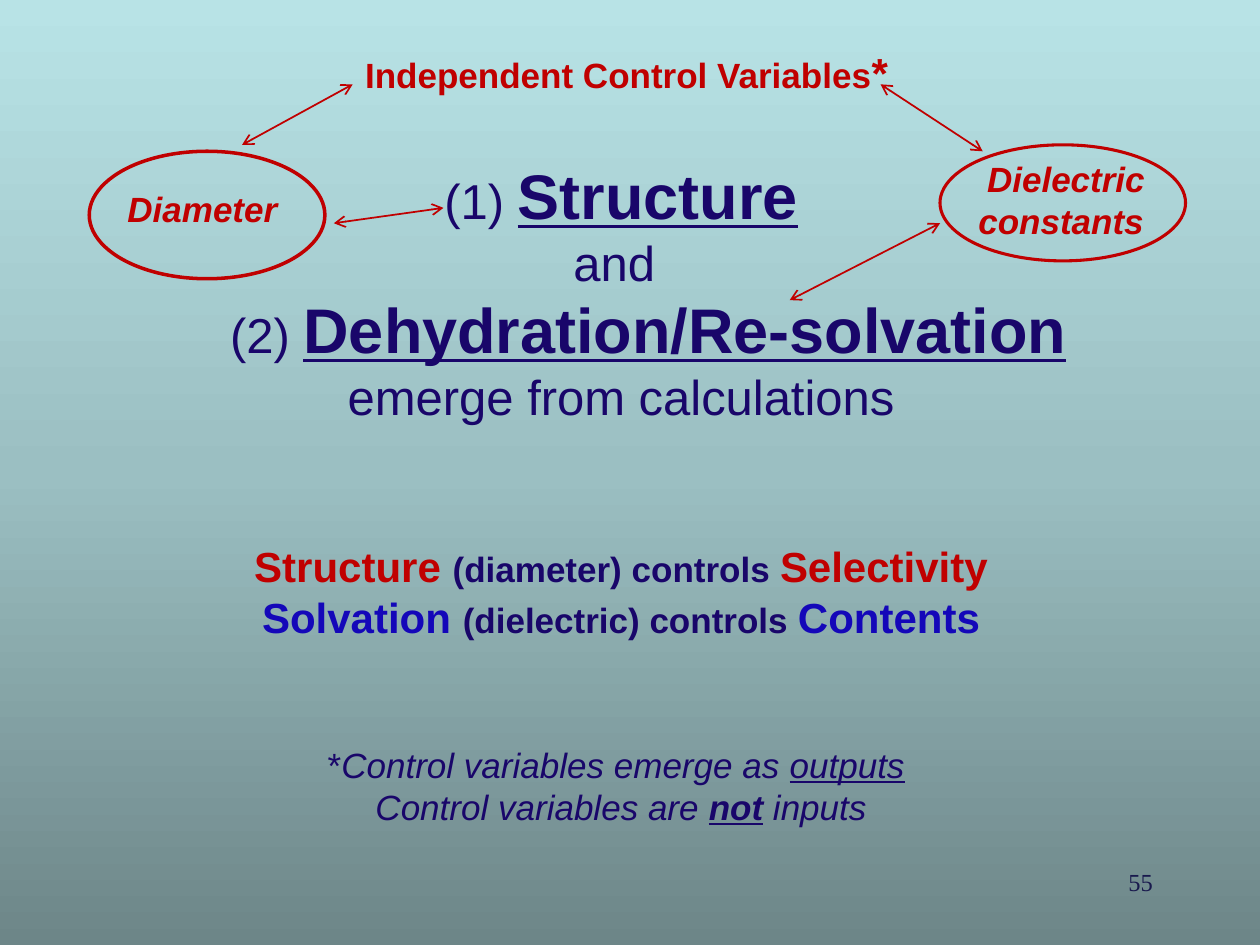
from copy import deepcopy
from dataclasses import dataclass

from lxml.etree import SubElement
from pptx import Presentation
from pptx.dml.color import RGBColor as RGB
from pptx.enum.shapes import MSO_CONNECTOR as CONNECTOR, MSO_SHAPE as SHAPE
from pptx.enum.text import MSO_ANCHOR as ANCHOR, PP_ALIGN as ALIGN
from pptx.oxml.ns import qn
from pptx.util import Cm, Pt


@dataclass(frozen=True)
class Theme:
    navy: str = "19066A"
    red: str = "C00000"
    blue: str = "1407B9"
    number: str = "19194D"
    background: tuple = ("6D8688", "9BBFC2", "B8E3E6")
    sans: str = "Arial"
    serif: str = "Times New Roman"
    hero: int = 36
    body: int = 28
    strong: int = 24
    label: int = 20
    small: int = 14


T = Theme()


def add_text(box, paragraphs, align, anchor=ANCHOR.TOP, font=T.sans):
    """Each paragraph is (space before, left margin in cm, runs);
    each run is (text, size, colour, style letters from "biu")."""
    tf = s.shapes.add_textbox(*map(Cm, box)).text_frame
    tf.word_wrap = True
    tf.vertical_anchor = anchor
    for i, (before, margin, runs) in enumerate(paragraphs):
        p = tf.add_paragraph() if i else tf.paragraphs[0]
        p.alignment = align
        if before:
            p.space_before = Pt(before)
        if margin:
            p._p.get_or_add_pPr().set("marL", str(Cm(margin)))
        for text, size, color, style in runs:
            r = p.add_run()
            r.text = text
            r.font.name = font
            r.font.size = Pt(size)
            r.font.color.rgb = RGB.from_string(color)
            r.font.bold = "b" in style
            r.font.italic = "i" in style
            r.font.underline = "u" in style


prs = Presentation()
prs.slide_width, prs.slide_height = Cm(25.4), Cm(19.05)
s = prs.slides.add_slide(prs.slide_layouts[6])

# Background: three stops, dark at the bottom
fill = s.background.fill
fill.gradient()
fill.gradient_angle = 90
stops = s._element.xpath(".//a:gsLst")[0]
stops.append(deepcopy(stops[-1]))
for stop, position, color in zip(fill.gradient_stops, (0, 0.5, 1), T.background):
    stop.position = position
    stop.color.rgb = RGB.from_string(color)

# Main statement
add_text((1.09, 2.18, 22.86, 15.47), [
    (0, 0, [("(1) ", T.body, T.navy, ""), ("Structure", T.hero, T.navy, "bu")]),
    (0, 0, [("and ", T.body, T.navy, "")]),
    (0, 1.1, [("(2) ", T.body, T.navy, ""),
              ("Dehydration/Re-solvation", T.hero, T.navy, "bu")]),
    (0, 0, [("emerge from calculations", T.body, T.navy, "")]),
    (66, 0, [("Structure ", T.strong, T.red, "b"),
             ("(diameter) controls ", T.label, T.navy, "b"),
             ("Selectivity", T.strong, T.red, "b")]),
    (0, 0, [("Solvation ", T.strong, T.blue, "b"),
            ("(dielectric) controls ", T.label, T.navy, "b"),
            ("Contents", T.strong, T.blue, "b")]),
    (58, 0, [("*", T.label, T.navy, ""),
             ("Control variables emerge as ", T.label, T.navy, "i"),
             ("outputs", T.label, T.navy, "iu"), (" ", T.label, T.navy, "i")]),
    (0, 0, [("Control variables are ", T.label, T.navy, "i"),
            ("not", T.label, T.navy, "biu"), (" inputs", T.label, T.navy, "i")]),
], ALIGN.CENTER, ANCHOR.MIDDLE)

# Slide number
add_text((18.21, 17.35, 5.28, 1.27), [(0, 0, [("55", T.small, T.number, "")])],
         ALIGN.RIGHT, font=T.serif)

# Control variables and their heading
for text, box in (("Diameter ", (1.4, 3.66, 5.56, 1.4)),
                  ("Dielectric constants ", (18.8, 3.05, 5.38, 1.96))):
    add_text(box, [(0, 0, [(text, T.label, T.red, "bi")])], ALIGN.CENTER)
add_text((7.11, 0.81, 11.63, 1.73),
         [(0, 0, [("Independent Control Variables", T.label, T.red, "b"),
                  ("*", T.strong, T.red, "b")])], ALIGN.LEFT)

for box, width in (((1.8, 3.05, 4.75, 2.57), 2), ((18.95, 2.92, 4.95, 2.34), 1.75)):
    sp = s.shapes.add_shape(SHAPE.OVAL, *map(Cm, box))
    sp.shadow.inherit = False
    sp.fill.background()
    sp.line.color.rgb = RGB.from_string(T.red)
    sp.line.width = Pt(width)

# Double-headed arrows
for ends in ((6.73, 4.5, 8.94, 4.19), (18.95, 4.5, 15.92, 6.05),
             (4.88, 2.92, 7.11, 1.7), (19.81, 3.05, 17.75, 1.7)):
    line = s.shapes.add_connector(CONNECTOR.STRAIGHT, *map(Cm, ends))
    line.line.color.rgb = RGB.from_string(T.red)
    line.line.width = Pt(1)
    ln = line.line._get_or_add_ln()
    for end in ("a:headEnd", "a:tailEnd"):
        SubElement(ln, qn(end), type="arrow")
    SubElement(line._element.spPr, qn("a:effectLst"))

prs.save("out.pptx")
